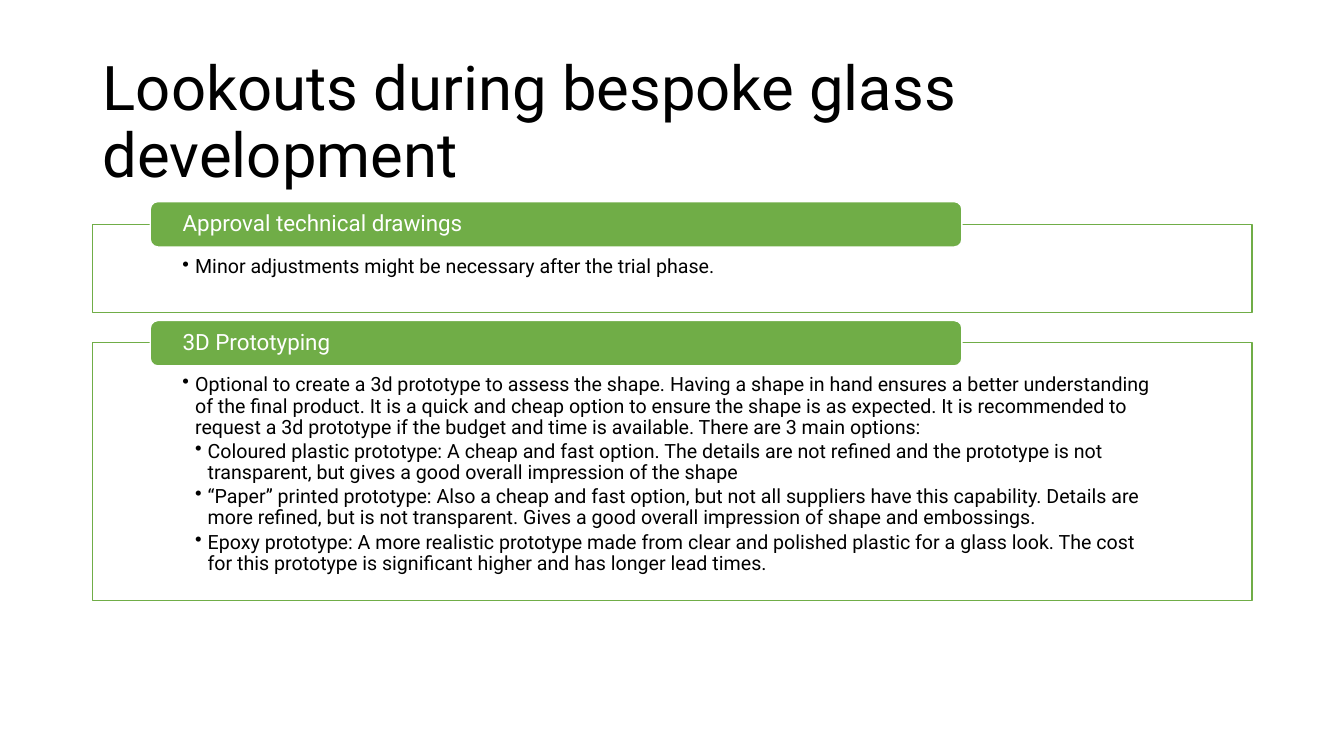
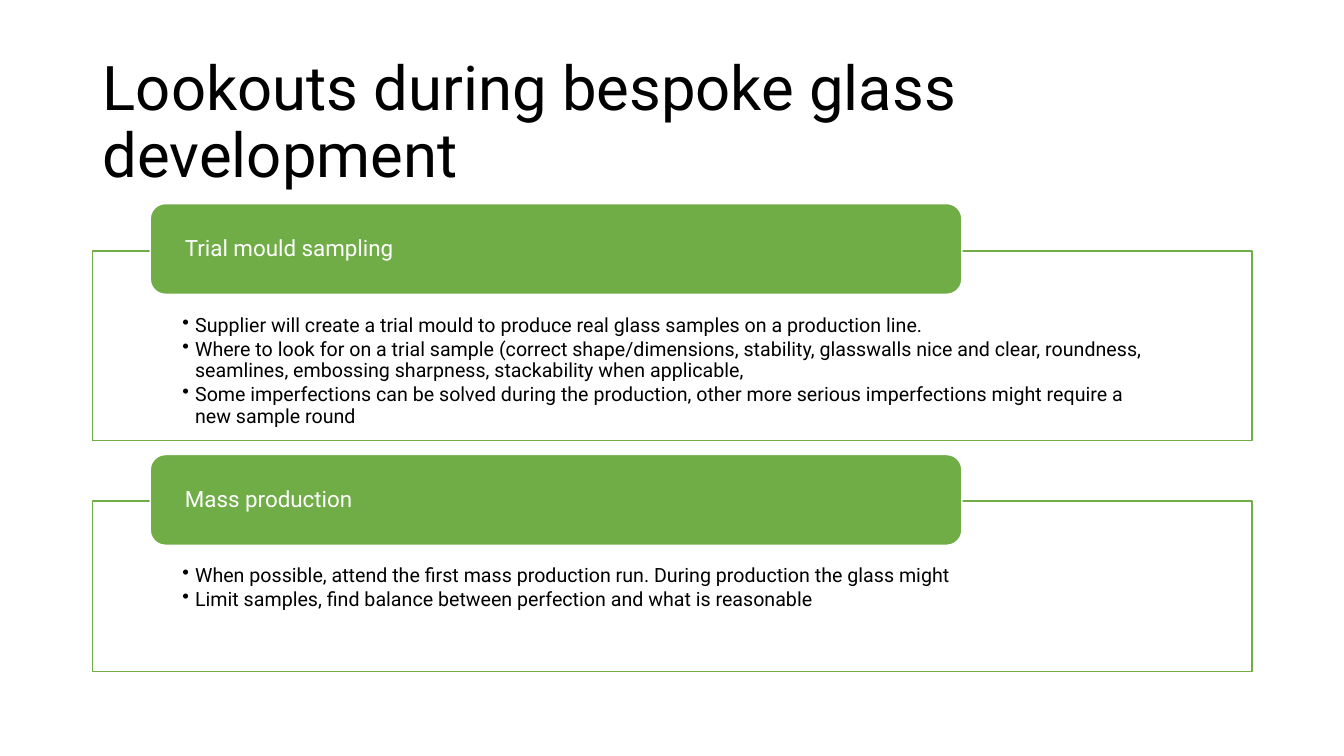
from lxml.etree import SubElement
from pptx import Presentation
from pptx.dml.color import RGBColor
from pptx.enum.shapes import MSO_SHAPE
from pptx.enum.text import MSO_ANCHOR, MSO_AUTO_SIZE, PP_ALIGN
from pptx.oxml.ns import qn
from pptx.util import Inches, Pt

HEADING = "Lookouts during bespoke glass development"

LOOKOUTS = [
    (0.45, [
        (2, 2.23, 0.87, "Approval technical drawings", [
            (1, "Minor adjustments might be necessary after the trial phase."),
        ]),
        (3.18, 3.4, 2.56, "3D Prototyping", [
            (1, "Optional to create a 3d prototype to assess the shape. Having a shape in hand "
                "ensures a better understanding of the final product. It is a quick and cheap "
                "option to ensure the shape is as expected. It is recommended to request a 3d "
                "prototype if the budget and time is available. There are 3 main options:"),
            (2, "Coloured plastic prototype: A cheap and fast option. The details are not refined "
                "and the prototype is not transparent, but gives a good overall impression of "
                "the shape"),
            (2, "“Paper” printed prototype: Also a cheap and fast option, but not all suppliers "
                "have this capability. Details are more refined, but is not transparent. Gives a "
                "good overall impression of shape and embossings."),
            (2, "Epoxy prototype: A more realistic prototype made from clear and polished plastic "
                "for a glass look. The cost for this prototype is significant higher and has "
                "longer lead times."),
        ]),
    ]),
    (0.9, [
        (2.02, 2.49, 1.88, "Trial mould sampling", [
            (1, "Supplier will create a trial mould to produce real glass samples on a "
                "production line."),
            (1, "Where to look for on a trial sample (correct shape/dimensions, stability, "
                "glasswalls nice and clear, roundness, seamlines, embossing sharpness, "
                "stackability when applicable,"),
            (1, "Some imperfections can be solved during the production, other more serious "
                "imperfections might require a new sample round"),
        ]),
        (4.51, 4.97, 1.69, "Mass production", [
            (1, "When possible, attend the first mass production run. During production the "
                "glass might"),
            (1, "Limit samples, find balance between perfection and what is reasonable"),
        ]),
    ]),
]


def rgb(value):
    """Turn a hex string into a colour."""
    return RGBColor.from_string(value)


class Deck:
    """Holds the style and the current slide."""

    FONT, GREEN, WHITE, BLACK = "Roboto", "70AD47", "FFFFFF", "000000"
    LEFT, WIDTH = 0.92, 11.5
    CAPTION_LEFT, CAPTION_WIDTH = 1.49, 8.05

    def __init__(self):
        """Start an empty widescreen presentation."""
        self.presentation = Presentation()
        self.presentation.slide_width = Inches(13.33)
        self.presentation.slide_height = Inches(7.5)
        self.slide = None

    def new_slide(self, heading):
        """Add a slide with its title."""
        self.slide = self.presentation.slides.add_slide(self.presentation.slide_layouts[5])
        title = self.slide.shapes.title
        title.left, title.top = Inches(self.LEFT), Inches(0.61)
        title.width, title.height = Inches(self.WIDTH), Inches(1.24)
        frame = title.text_frame
        frame.auto_size = MSO_AUTO_SIZE.NONE
        frame.vertical_anchor = MSO_ANCHOR.MIDDLE
        self.add_text(frame.paragraphs[0], heading, 44, self.BLACK)

    def add_text(self, paragraph, text, size, color):
        """Add one left-aligned run in the deck's font."""
        paragraph.alignment = PP_ALIGN.LEFT
        paragraph.line_spacing = 0.9
        run = paragraph.add_run()
        run.text = text
        run.font.name, run.font.size = self.FONT, Pt(size)
        run.font.color.rgb = rgb(color)

    def shape(self, preset, place, fill, line, insets, anchor):
        """Add a flat filled shape and return it."""
        shape = self.slide.shapes.add_shape(preset, *map(Inches, place))
        shape.shadow.inherit = False
        shape.fill.solid()
        shape.fill.fore_color.rgb = rgb(fill)
        shape.line.color.rgb = rgb(line)
        shape.line.width = Pt(1)
        frame = shape.text_frame
        frame.word_wrap = True
        frame.vertical_anchor = anchor
        (frame.margin_left, frame.margin_top,
         frame.margin_right, frame.margin_bottom) = map(Inches, insets)
        return shape

    def panel(self, top, height, caption_height, points):
        """Add an outlined panel with bulleted points below its caption."""
        panel = self.shape(MSO_SHAPE.RECTANGLE, (self.LEFT, top, self.WIDTH, height),
                           self.WHITE, self.GREEN,
                           (0.89, 0.71 * caption_height, 0.89, 0.11), MSO_ANCHOR.TOP)
        fill_color = panel._element.spPr.find(qn("a:solidFill"))[0]
        SubElement(fill_color, qn("a:alpha"), val="90000")
        frame = panel.text_frame
        for index, (level, text) in enumerate(points):
            paragraph = frame.add_paragraph() if index else frame.paragraphs[0]
            paragraph.level = level
            properties = paragraph._p.get_or_add_pPr()
            properties.set("marL", str(Inches(0.125 * level)))
            properties.set("indent", str(-Inches(0.125)))
            SubElement(properties, qn("a:buChar"), char="•")
            paragraph.space_after = Pt(2.1)
            self.add_text(paragraph, text, 14, self.BLACK)

    def caption(self, top, height, text):
        """Add the green caption that sits on a panel's upper edge."""
        place = (self.CAPTION_LEFT, top, self.CAPTION_WIDTH, height)
        caption = self.shape(MSO_SHAPE.ROUNDED_RECTANGLE, place, self.GREEN, self.WHITE,
                             (0.3, 0, 0.3, 0), MSO_ANCHOR.MIDDLE)
        self.add_text(caption.text_frame.paragraphs[0], text, 16, self.WHITE)


def main():
    """Build and save the slides."""
    deck = Deck()
    for caption_height, stages in LOOKOUTS:
        deck.new_slide(HEADING)
        for caption_top, panel_top, panel_height, stage, points in stages:
            deck.panel(panel_top, panel_height, caption_height, points)
            deck.caption(caption_top, caption_height, stage)
    deck.presentation.save("out.pptx")


if __name__ == "__main__":
    main()
